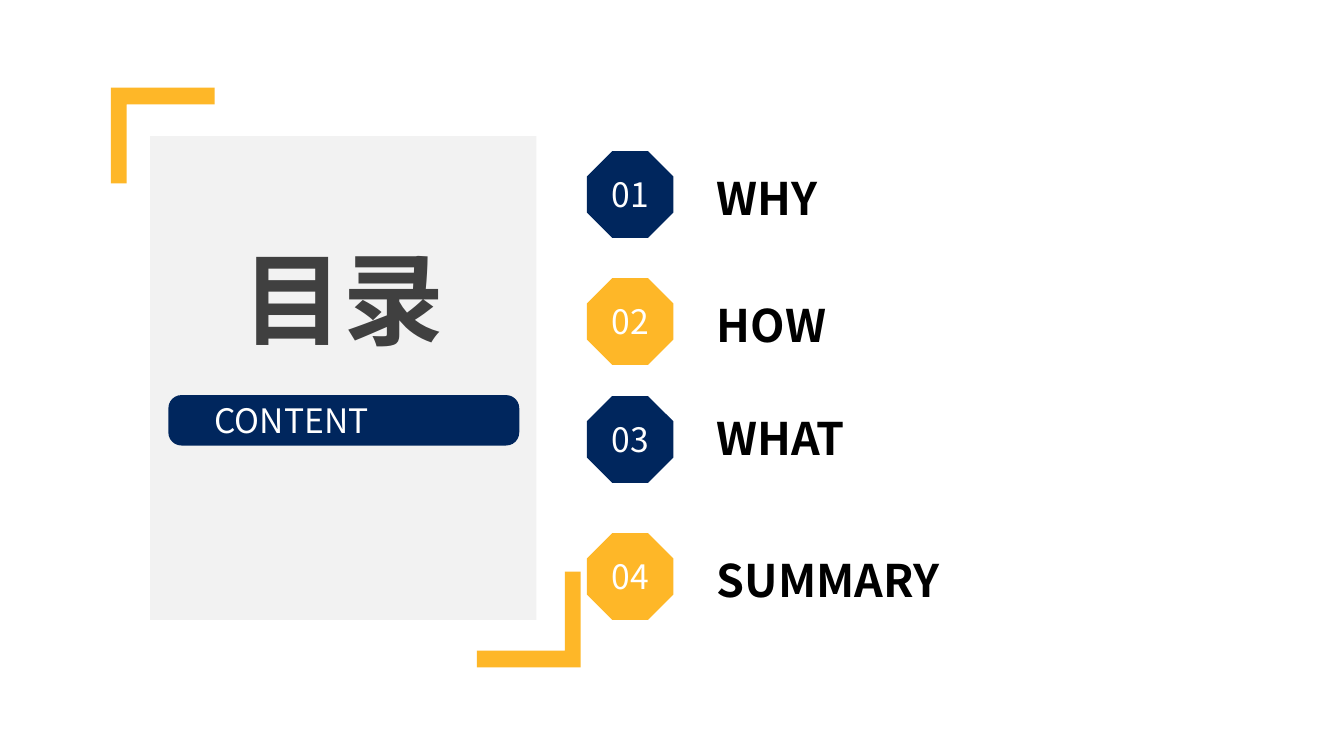
from lxml import etree
from pptx import Presentation
from pptx.dml.color import RGBColor
from pptx.enum.shapes import MSO_SHAPE as Shape
from pptx.enum.text import MSO_ANCHOR as Anchor, MSO_AUTO_SIZE as AutoSize, PP_ALIGN as Align
from pptx.oxml.ns import qn
from pptx.util import Inches, Pt

FONT = "Noto Sans CJK SC"
COLORS = {
    "navy": "00265D",
    "amber": "FEB728",
    "panel": "F2F2F2",
    "heading": "404040",
    "entry": "000000",
    "white": "FFFFFF",
}
# Number badge top, entry text top, entry text width, entry, badge colour
ENTRIES = [
    (1.5, 1.64, 4.87, "WHY", "navy"),
    (2.76, 2.9, 5.73, "HOW", "amber"),
    (3.93, 4.03, 4.87, "WHAT", "navy"),
    (5.29, 5.43, 4.87, "SUMMARY", "amber"),
]


def rgb(name):
    return RGBColor.from_string(COLORS[name])


def write(frame, text, size, color, bold=False, align=Align.LEFT, anchor=Anchor.TOP):
    frame.text = text
    frame.word_wrap = True
    frame.vertical_anchor = anchor
    paragraph = frame.paragraphs[0]
    paragraph.alignment = align
    run = paragraph.runs[0]
    run.font.size = Pt(size)
    run.font.bold = bold
    run.font.color.rgb = rgb(color)
    run.font.name = FONT
    # East Asian glyphs take their own typeface entry
    etree.SubElement(run.font._element, qn("a:ea")).set("typeface", FONT)


def add_block(slide, kind, left, top, width, height, color, adjustments=()):
    block = slide.shapes.add_shape(
        kind, Inches(left), Inches(top), Inches(width), Inches(height))
    block.shadow.inherit = False
    block.fill.solid()
    block.fill.fore_color.rgb = rgb(color)
    block.line.fill.background()
    for index, value in enumerate(adjustments):
        block.adjustments[index] = value
    return block


def add_bracket(slide, left, top, rotation):
    bracket = add_block(slide, Shape.CORNER, left, top, 1.03, 0.95, "amber", (0.174, 0.166))
    bracket.rotation = rotation
    bracket._element.spPr.find(qn("a:xfrm")).set("flipH", "1")


def add_label(slide, left, top, width, height, text, size, color, **style):
    label = slide.shapes.add_textbox(
        Inches(left), Inches(top), Inches(width), Inches(height))
    write(label.text_frame, text, size, color, **style)
    label.text_frame.auto_size = AutoSize.SHAPE_TO_FIT_TEXT


def place_title(slide, text):
    title = slide.shapes.title
    title.left, title.top = Inches(2.03), Inches(2.3)
    title.width, title.height = Inches(2.76), Inches(1.31)
    write(title.text_frame, text, 72, "heading", bold=True, align=Align.CENTER)
    title.text_frame.auto_size = AutoSize.SHAPE_TO_FIT_TEXT
    # Bring the title in front of the panel
    slide.shapes._spTree.append(title._element)


def add_entry(slide, number, badge_top, text_top, text_width, text, color):
    badge = add_block(slide, Shape.OCTAGON, 5.82, badge_top, 0.86, 0.86, color)
    write(badge.text_frame, f"{number:02}", 24, "white",
          align=Align.CENTER, anchor=Anchor.MIDDLE)
    add_label(slide, 7.01, text_top, text_width, 0.64, text, 32, "entry", bold=True)


def main():
    prs = Presentation()
    prs.slide_width, prs.slide_height = Inches(13.33), Inches(7.5)
    slide = prs.slides.add_slide(prs.slide_layouts[5])

    # Heading panel with corner brackets
    add_bracket(slide, 4.73, 5.67, 0)
    add_bracket(slide, 1.1, 0.87, 180)
    add_block(slide, Shape.RECTANGLE, 1.49, 1.35, 3.83, 4.8, "panel")
    add_block(slide, Shape.ROUNDED_RECTANGLE, 1.67, 3.92, 3.48, 0.5, "navy", (0.259,))
    place_title(slide, "目录")
    add_label(slide, 2.03, 3.92, 2.76, 0.5, "CONTENT", 24, "white", align=Align.JUSTIFY)

    # Numbered entries
    for number, entry in enumerate(ENTRIES, start=1):
        add_entry(slide, number, *entry)

    prs.save("out.pptx")


if __name__ == "__main__":
    main()
